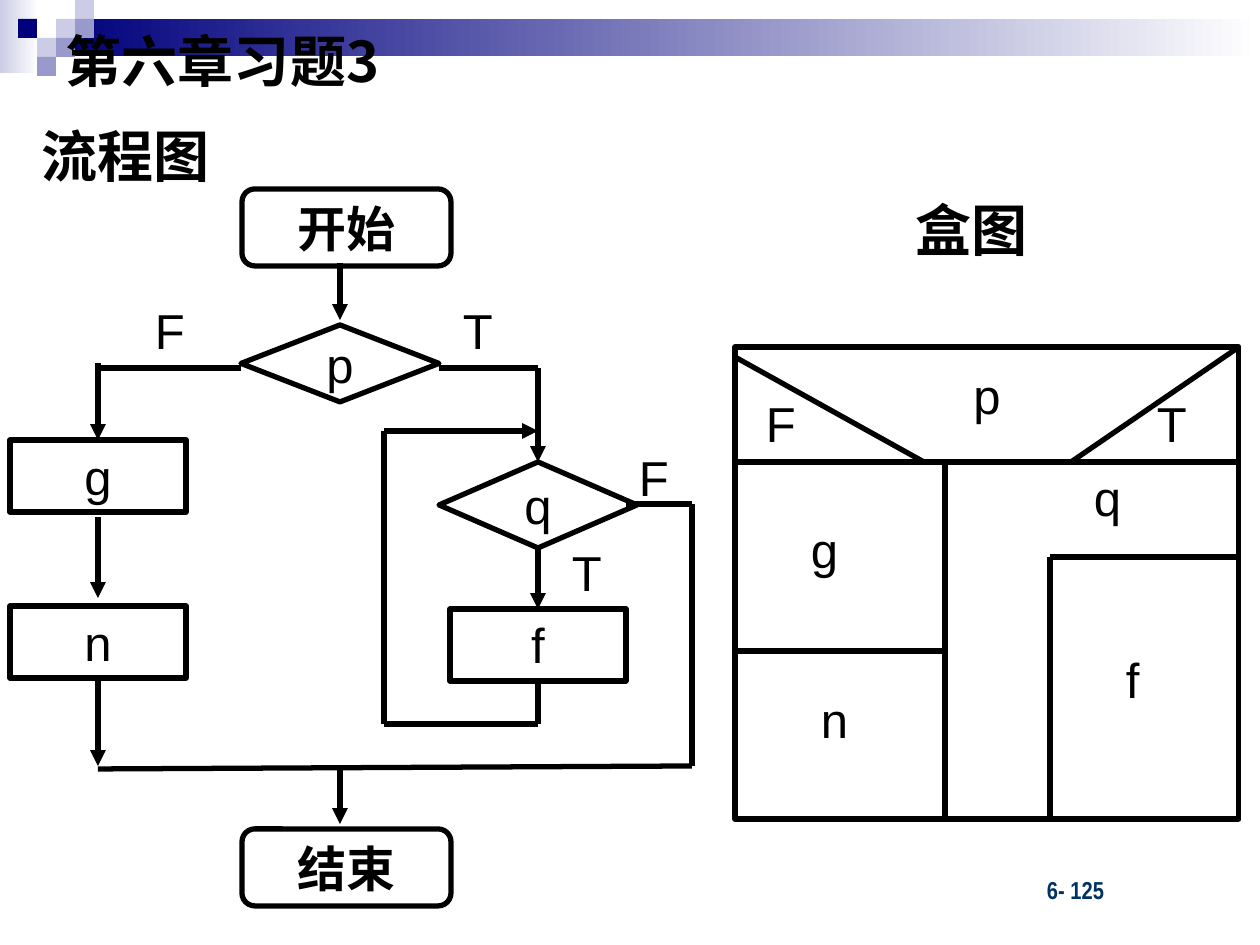
from lxml.etree import SubElement
from pptx import Presentation
from pptx.dml.color import RGBColor
from pptx.enum.shapes import MSO_CONNECTOR as CONNECTOR, MSO_SHAPE as SHAPE
from pptx.enum.text import MSO_ANCHOR as ANCHOR, PP_ALIGN as ALIGN
from pptx.oxml.ns import qn
from pptx.util import Emu, Pt

PX = 914400 // 126
CJK_FONT = "Noto Sans CJK SC"
TOP, LEFT, BOTTOM, RIGHT = range(4)
TILE = 19


def px(*lengths):
    return [Emu(length * PX) for length in lengths]


def color(hex_string):
    return RGBColor.from_string(hex_string)


def write(shape, text, size=28, font="Arial", bold=False, ink="000000",
          align=ALIGN.LEFT, anchor=ANCHOR.TOP, wrap=True, indent=13):
    frame = shape.text_frame
    frame.word_wrap = wrap
    frame.vertical_anchor = anchor
    frame.margin_left, frame.margin_right = px(indent, 13)
    frame.margin_top, frame.margin_bottom = px(6, 6)
    paragraph = frame.paragraphs[0]
    paragraph.alignment = align
    run = paragraph.add_run()
    run.text = text
    run.font.size = Pt(size)
    run.font.name = font
    run.font.bold = bold
    run.font.color.rgb = color(ink)
    SubElement(run.font._element, qn("a:ea")).set("typeface", CJK_FONT)


def add_label(slide, box, text, **text_format):
    write(slide.shapes.add_textbox(*px(*box)), text, **text_format)


def add_block(slide, box, fill, fade_to=None):
    """Borderless rectangle, solid or fading from left to right."""
    shape = slide.shapes.add_shape(SHAPE.RECTANGLE, *px(*box))
    shape.shadow.inherit = False
    shape.line.fill.background()
    if fade_to:
        shape.fill.gradient()
        shape.fill.gradient_angle = 0
        for stop, shade in zip(shape.fill.gradient_stops, (fill, fade_to)):
            stop.color.rgb = color(shade)
    else:
        shape.fill.solid()
        shape.fill.fore_color.rgb = color(fill)


def add_outline(slide, kind, box, text="", **text_format):
    shape = slide.shapes.add_shape(kind, *px(*box))
    shape.shadow.inherit = False
    shape.fill.background()
    shape.line.color.rgb = color("000000")
    shape.line.width = Pt(3)
    if text:
        write(shape, text, align=ALIGN.CENTER, **text_format)
    return shape


def add_line(slide, x1, y1, x2, y2, arrow=False, start=None, end=None):
    """Straight line; start and end are (shape, side) pairs to join."""
    line = slide.shapes.add_connector(CONNECTOR.STRAIGHT, *px(x1, y1, x2, y2))
    line.line.color.rgb = color("000000")
    line.line.width = Pt(3)
    if arrow:
        SubElement(line.line._get_or_add_ln(), qn("a:tailEnd")).set("type", "triangle")
    SubElement(line._element.spPr, qn("a:effectLst"))
    if start:
        line.begin_connect(*start)
    if end:
        line.end_connect(*end)


def add_header(slide):
    # Fading bands, then the mosaic of small tiles
    add_block(slide, (0, 0, 39, 73), "CCCCE6", "FFFFFF")
    add_block(slide, (57, 19, 1203, 37), "00007D", "FFFFFF")
    for column, row, fill in [(3, 1, "CCCCE6"), (4, 0, "CCCCE6"), (4, 1, "9999CC"),
                              (2, 2, "CCCCE6"), (1, 1, "00007D"), (3, 2, "9999CC"),
                              (2, 3, "9999CC")]:
        add_block(slide, (column * TILE - 1, row * TILE, TILE, TILE), fill)
    add_label(slide, (53, 21, 966, 81), "第六章习题3", size=32, font=CJK_FONT, bold=True)
    add_label(slide, (917, 869, 262, 42), "6- 125", size=14, font="Arial Narrow",
              bold=True, ink="003162", indent=130)


def add_box_diagram(slide):
    left, top, right, bottom = 735, 347, 1239, 819
    condition, middle, inner = 462, 945, 1050
    add_outline(slide, SHAPE.RECTANGLE, (left, top, right - left, bottom - top))
    for ends in [(left, condition, right, condition), (middle, condition, middle, bottom),
                 (left, 651, middle, 651), (inner, 557, right, 557),
                 (inner, 557, inner, bottom), (left, 357, 924, condition),
                 (right, top, 1071, condition)]:
        add_line(slide, *ends)
    add_label(slide, (945, 359, 84, 72), "p", align=ALIGN.CENTER)
    for x, y, text in [(753, 388, "F"), (1144, 388, "T"), (798, 514, "g"),
                       (808, 684, "n"), (1081, 462, "q"), (1113, 643, "f")]:
        add_label(slide, (x, y, 76, 72), text)
    add_label(slide, (872, 189, 199, 81), "盒图", size=32, bold=True, align=ALIGN.CENTER)


def add_flowchart(slide):
    f_branch, trunk, t_branch = 98, 340, 538
    loop, exit_x, merge = 384, 692, 766

    # Terminals, decisions and steps
    centered = {"anchor": ANCHOR.MIDDLE, "wrap": False}
    for y, text in [(189, "开始"), (829, "结束")]:
        add_outline(slide, SHAPE.ROUNDED_RECTANGLE, (242, y, 209, 77), text,
                    bold=True, **centered)
    add_outline(slide, SHAPE.DIAMOND, (trunk - 99, 325, 198, 77), "p", **centered)
    decision_q = add_outline(slide, SHAPE.DIAMOND, (t_branch - 99, 462, 198, 86),
                             "q", **centered)
    step_g, step_n, step_f = [
        add_outline(slide, SHAPE.RECTANGLE, (x - 88, y, 176, 72), text)
        for x, y, text in [(f_branch, 440, "g"), (f_branch, 606, "n"), (t_branch, 609, "f")]]

    # Entry and the F branch
    add_line(slide, trunk, 263, trunk, 320, arrow=True)
    add_line(slide, f_branch, 368, 241, 368)
    add_line(slide, f_branch, 363, f_branch, 440, arrow=True, end=(step_g, TOP))
    add_line(slide, f_branch, 517, f_branch, 598, arrow=True)
    add_line(slide, f_branch, 678, f_branch, merge, arrow=True, start=(step_n, BOTTOM))

    # T branch with its loop
    add_line(slide, 439, 368, t_branch, 368)
    add_line(slide, t_branch, 368, t_branch, 462, arrow=True, end=(decision_q, TOP))
    add_line(slide, t_branch, 548, t_branch, 609, arrow=True,
             start=(decision_q, BOTTOM), end=(step_f, TOP))
    add_line(slide, t_branch, 681, t_branch, 724, start=(step_f, BOTTOM))
    add_line(slide, t_branch, 724, loop, 724)
    add_line(slide, loop, 724, loop, 431)
    add_line(slide, loop, 431, t_branch, 431, arrow=True)

    # Loop exit, merge and end
    add_line(slide, 626, 504, exit_x, 504)
    add_line(slide, exit_x, 504, exit_x, merge)
    add_line(slide, f_branch, 769, exit_x, merge)
    add_line(slide, trunk, merge, trunk, 824, arrow=True)

    # Branch labels and heading
    for x, y, text in [(142, 294, "F"), (450, 294, "T"), (626, 441, "F"), (559, 536, "T")]:
        add_label(slide, (x, y, 88, 72), text)
    add_label(slide, (21, 116, 209, 81), "流程图", size=32, bold=True, align=ALIGN.CENTER)


def main():
    presentation = Presentation()
    presentation.slide_width, presentation.slide_height = px(1260, 945)
    slide = presentation.slides.add_slide(presentation.slide_layouts[6])
    add_header(slide)
    add_box_diagram(slide)
    add_flowchart(slide)
    presentation.save("out.pptx")


if __name__ == "__main__":
    main()
